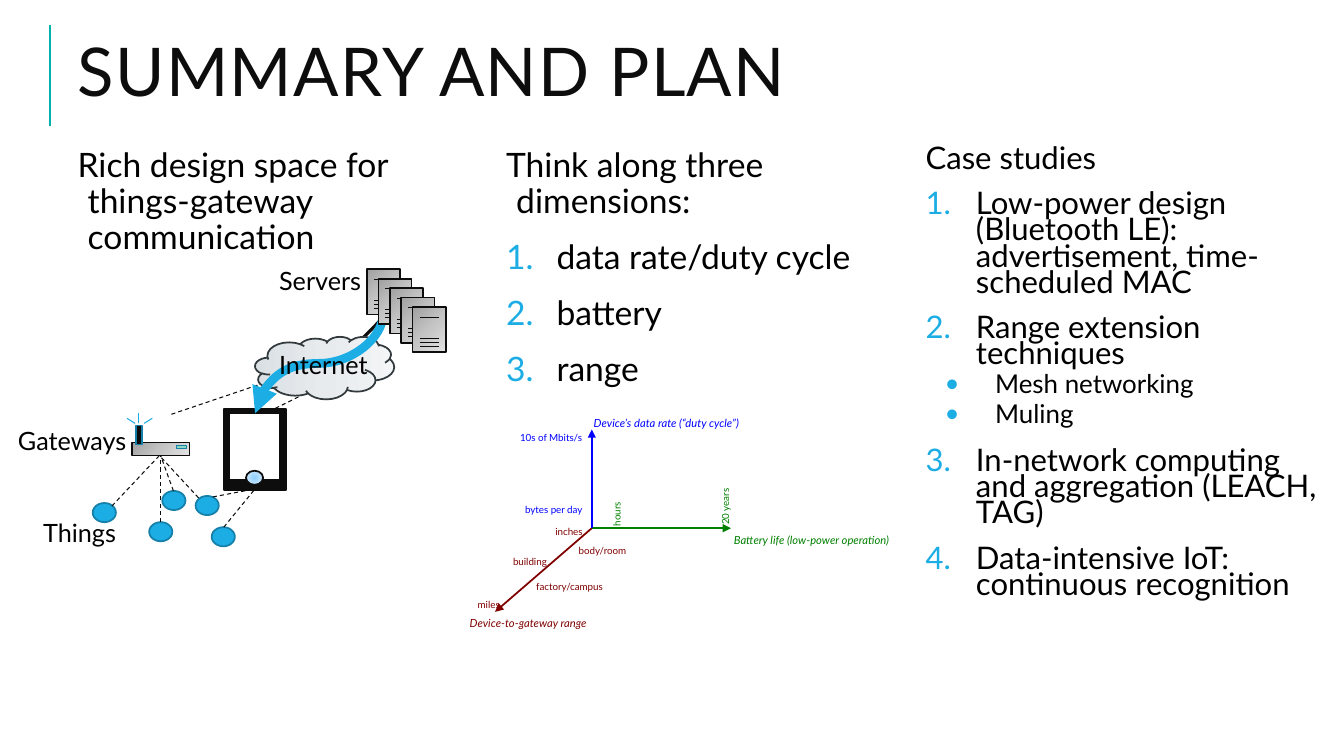
from dataclasses import dataclass
from lxml import etree
from pptx import Presentation
from pptx.dml.color import RGBColor
from pptx.enum import dml, shapes, text
from pptx.oxml import parse_xml
from pptx.oxml.ns import nsdecls, qn
from pptx.util import Inches, Pt


@dataclass(frozen=True)
class Theme:
    font: str = "Lato"
    ink: str = "0D0D0D"
    black: str = "000000"
    white: str = "FFFFFF"
    teal: str = "00B1AC"
    sky: str = "1CADE4"
    rim: str = "1580A9"
    mint: str = "8DD6C1"
    cloud_rim: str = "333A3E"
    rate: str = "0000FF"
    battery: str = "008000"
    reach: str = "800000"
    metal: tuple = ("A0A0A0", "C5C5C5", "E3E3E3")
    mist: tuple = ("DAE0E4", "E7EBED", "F3F5F6")
    glow: tuple = ("8FD1FF", "BAE1FF", "DDEFFF")
    title: float = 48
    body: float = 24
    case: float = 22.2
    case_sub: float = 18.5
    label: float = 18
    axis: float = 8
    tick: float = 7


THEME = Theme()
TITLE = "SUMMARY AND PLAN"
COLUMNS = [
    (0.67, 3.83, 0.9, THEME.body, [
        ("lead", "Rich design space for things-gateway communication")]),
    (4.92, 3.83, 0.9, THEME.body, [
        ("lead", "Think along three dimensions:"),
        ("number", "data rate/duty cycle"),
        ("number", "battery"),
        ("number", "range")]),
    (9.08, 4.25, 0.7, THEME.case, [
        ("lead", "Case studies"),
        ("number", "Low-power design (Bluetooth LE): advertisement, time-scheduled MAC"),
        ("number", "Range extension techniques"),
        ("dot", "Mesh networking"),
        ("dot", "Muling"),
        ("number", "In-network computing and aggregation (LEACH, TAG)"),
        ("number", "Data-intensive IoT: continuous recognition")]),
]
COLUMN_TOP, COLUMN_HEIGHT = 1.42, 4.98
LIST_STYLES = {
    "lead": (0, 0.1, -0.1, 12, 2, None),
    "number": (0, 0.5, -0.5, 12, 2, ("buAutoNum", "type", "arabicPeriod")),
    "dot": (1, 0.69, -0.5, 2, 4, ("buChar", "char", "•")),
}
SERVER, SERVER_SIZE, SERVER_STEP, SERVER_COUNT = (3.64, 2.67), (0.33, 0.45), (0.113, 0.094), 5
SERVER_SLOTS = (0.1, 0.31, 0.35, 0.39)
SENSORS = [(0.92, 4.99), (2.1, 5.23), (1.48, 5.18), (1.61, 4.87), (1.94, 4.92)]
LINKS = [
    (1.7, 4.11, 3.09, 3.64), (2.41, 4.21, 3.3, 3.77), (1.72, 4.87, 1.59, 4.51),
    (1.59, 5.18, 1.59, 4.52), (2.22, 5.23, 2.53, 4.85), (1.11, 5.02, 1.59, 4.51),
    (1.97, 4.94, 1.6, 4.54), (2.11, 4.93, 2.53, 4.85),
]
ANTENNA_WAVES = [(1.34, 4.2, 1.26, 4.15), (1.51, 4.15, 1.43, 4.2), (1.37, 4.1, 1.37, 4.2)]
DEVICES = [
    ("RECTANGLE", (1.31, 4.39, 0.57, 0.13), THEME.metal, THEME.ink),
    ("RECTANGLE", (1.35, 4.22, 0.06, 0.19), THEME.ink, THEME.rim),
    ("RECTANGLE", (1.75, 4.42, 0.1, 0.03), THEME.mint, THEME.rim),
    ("RECTANGLE", (2.22, 4.06, 0.62, 0.8), THEME.ink, THEME.ink),
    ("RECTANGLE", (2.27, 4.1, 0.51, 0.66), THEME.white, THEME.ink),
    ("OVAL", (2.44, 4.67, 0.17, 0.14), THEME.glow, THEME.ink),
    ("CLOUD", (2.53, 3.34, 1.38, 0.62), THEME.mist, THEME.cloud_rim),
]
NETWORK_LABELS = [
    ("Gateways", (0.08, 4.17, 1.29, 0.4)), ("Things", (0.33, 5.08, 0.93, 0.4)),
    ("Servers", (2.67, 2.58, 1.02, 0.4)), ("Internet", (2.67, 3.42, 1.12, 0.4)),
]
ORIGIN = (5.87, 5.24)
AXES = [
    (THEME.reach, (4.91, 6.07), ("Device-to-gateway range", 4.56, 6.07, 1.48), 0, [
        ("inches", 5.41, 5.17, 0.48), ("body/room", 5.64, 5.35, 0.69),
        ("factory/campus", 5.22, 5.71, 0.9), ("building", 4.99, 5.46, 0.57),
        ("miles", 4.64, 5.89, 0.44)]),
    (THEME.battery, (7.25, 5.24), ("Battery life (low-power operation)", 7.18, 5.24, 1.99), 270, [
        ("hours", 5.9, 4.99, 0.44), ("20 years", 6.91, 4.91, 0.57)]),
    (THEME.rate, (5.87, 4.26), ("Device’s data rate (“duty cycle”)", 5.79, 4.08, 1.89), 0, [
        ("10s of Mbits/s", 5.06, 4.23, 0.82), ("bytes per day", 5.11, 4.95, 0.81)]),
]


def place(shape, frame):
    shape.left, shape.top, shape.width, shape.height = map(Inches, frame)


def set_font(para, size, color=THEME.black, italic=False):
    font = para.font
    font.name, font.size, font.bold, font.italic = THEME.font, Pt(size), False, italic
    font.color.rgb = RGBColor.from_string(color)


def add_line(page, ends, color, width, dashed=False, arrow=False, kind="STRAIGHT"):
    line = page.shapes.add_connector(shapes.MSO_CONNECTOR[kind], *map(Inches, ends))
    line.line.color.rgb = RGBColor.from_string(color)
    line.line.width = Pt(width)
    if dashed:
        line.line.dash_style = dml.MSO_LINE.DASH
    if arrow:
        etree.SubElement(line.line._get_or_add_ln(), qn("a:tailEnd"), type="triangle")
    etree.SubElement(line._element.spPr, qn("a:effectLst"))
    return line


def gradient(colors):
    stops = "".join(f'<a:gs pos="{pos}"><a:srgbClr val="{color}"/></a:gs>'
                    for pos, color in zip((0, 50000, 100000), colors))
    directions = {
        THEME.metal: '<a:lin ang="2700000" scaled="0"/>',
        THEME.mist: '<a:lin ang="0" scaled="0"/>',
        THEME.glow: '<a:path path="circle"><a:fillToRect l="50000" t="50000" r="50000" b="50000"/></a:path>',
    }
    return parse_xml(f'<a:gradFill {nsdecls("a")}><a:gsLst>{stops}</a:gsLst>{directions[colors]}</a:gradFill>')


def add_device(page, kind, frame, fill, rim):
    shape = page.shapes.add_shape(shapes.MSO_SHAPE[kind], *map(Inches, frame))
    shape.shadow.inherit = False
    if isinstance(fill, tuple):
        shape.fill.gradient()
        properties = shape._element.spPr
        properties.replace(properties.find(qn("a:gradFill")), gradient(fill))
    else:
        shape.fill.solid()
        shape.fill.fore_color.rgb = RGBColor.from_string(fill)
    shape.line.color.rgb = RGBColor.from_string(rim)
    shape.line.width = Pt(1.25)


def add_label(page, words, frame, size, color=THEME.black, italic=False, turn=0):
    box = page.shapes.add_textbox(*map(Inches, frame))
    box.rotation = turn
    box.text_frame.word_wrap = False
    box.text_frame.auto_size = text.MSO_AUTO_SIZE.SHAPE_TO_FIT_TEXT
    para = box.text_frame.paragraphs[0]
    para.text = words
    set_font(para, size, color, italic)


def add_server(page, index):
    left, top = (start + index * step for start, step in zip(SERVER, SERVER_STEP))
    add_device(page, "RECTANGLE", (left, top, *SERVER_SIZE), THEME.metal, THEME.ink)
    for slot in SERVER_SLOTS:
        add_line(page, (left + 0.07, top + slot, left + 0.26, top + slot), THEME.ink, 0.75)


def prepare(box, frame):
    place(box, frame)
    box.text_frame.word_wrap = True
    box.text_frame.auto_size = text.MSO_AUTO_SIZE.NONE
    box.text_frame.vertical_anchor = text.MSO_ANCHOR.TOP


def fill_column(box, spacing, size, items):
    for index, (style, words) in enumerate(items):
        para = box.text_frame.paragraphs[0] if index == 0 else box.text_frame.add_paragraph()
        para.text = words
        level, margin, indent, before, after, bullet = LIST_STYLES[style]
        para.level = level
        properties = para._p.get_or_add_pPr()
        properties.set("marL", str(Inches(margin)))
        properties.set("indent", str(Inches(indent)))
        if bullet:
            tag, key, value = bullet
            color = etree.SubElement(properties, qn("a:buClr"))
            etree.SubElement(color, qn("a:srgbClr"), val=THEME.sky)
            etree.SubElement(properties, qn("a:buFont"), typeface=THEME.font)
            etree.SubElement(properties, qn(f"a:{tag}"), {key: value})
        else:
            etree.SubElement(properties, qn("a:buNone"))
        para.alignment = text.PP_ALIGN.LEFT
        para.line_spacing = spacing
        para.space_before, para.space_after = Pt(before if index else 0), Pt(after)
        set_font(para, THEME.case_sub if style == "dot" else size)


def draw_network(page):
    add_server(page, 0)
    for sensor in SENSORS:
        add_device(page, "OVAL", (*sensor, 0.23, 0.19), THEME.sky, THEME.rim)
    for link in LINKS:
        add_line(page, link, THEME.ink, 0.75, dashed=True)
    add_line(page, (3.25, 3.71, 3.78, 3.17), THEME.ink, 2.25)
    for wave in ANTENNA_WAVES:
        add_line(page, wave, THEME.sky, 0.75)
    for device in DEVICES:
        add_device(page, *device)
    flow = add_line(page, (2.67, 2.97, 3.66, 4.24), THEME.sky, 6.25, arrow=True, kind="CURVE")
    flow._element.spPr.find(qn("a:xfrm")).set("rot", "5400000")
    for index in range(1, SERVER_COUNT):
        add_server(page, index)
    for words, frame in NETWORK_LABELS:
        add_label(page, words, frame, THEME.label)


def draw_axes(page):
    for color, tip, (name, *spot), turn, ticks in AXES:
        add_line(page, (*ORIGIN, *tip), color, 1.25, arrow=True)
        add_label(page, name, (*spot, 0.24), THEME.axis, color, italic=True)
        for words, *frame in ticks:
            add_label(page, words, (*frame, 0.22), THEME.tick, color, turn=turn)


def main():
    deck = Presentation()
    deck.slide_width, deck.slide_height = Inches(13.33), Inches(7.5)
    page = deck.slides.add_slide(deck.slide_layouts[4])
    title, *bodies = page.placeholders
    add_line(page, (0.5, 1.25, 0.5, 0.25), THEME.teal, 1.5)
    prepare(title, (0.67, 0.4, 11.5, 1.45))
    para = title.text_frame.paragraphs[0]
    para.text = TITLE
    para.alignment, para.line_spacing = text.PP_ALIGN.LEFT, 0.8
    set_font(para, THEME.title, THEME.ink)
    para._p.pPr.find(qn("a:defRPr")).set("spc", "100")
    for body, (left, width, spacing, size, items) in zip(bodies, COLUMNS):
        prepare(body, (left, COLUMN_TOP, width, COLUMN_HEIGHT))
        fill_column(body, spacing, size, items)
    for spare in bodies[len(COLUMNS):]:
        spare._element.getparent().remove(spare._element)
    draw_network(page)
    draw_axes(page)
    deck.save("out.pptx")


if __name__ == "__main__":
    main()
